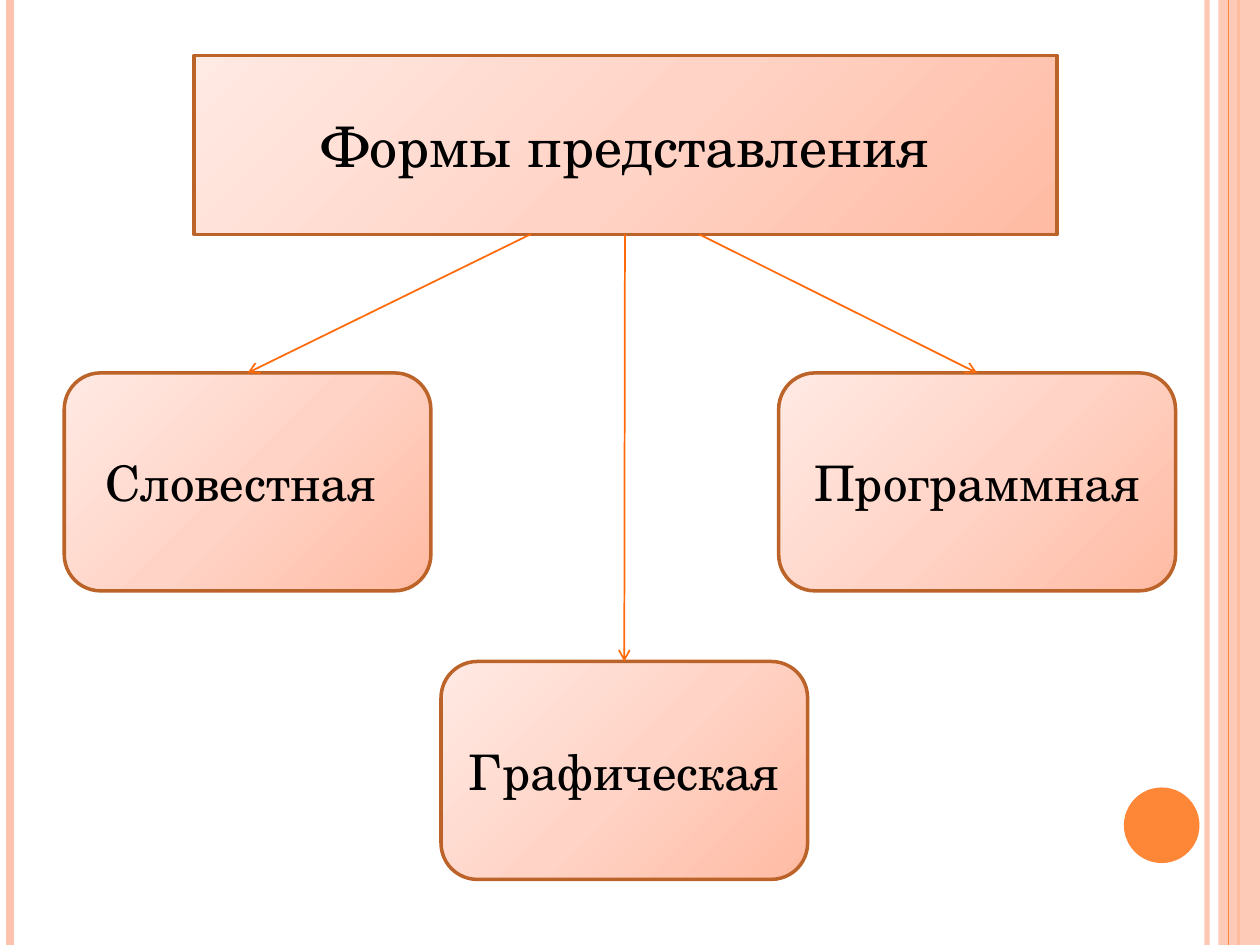
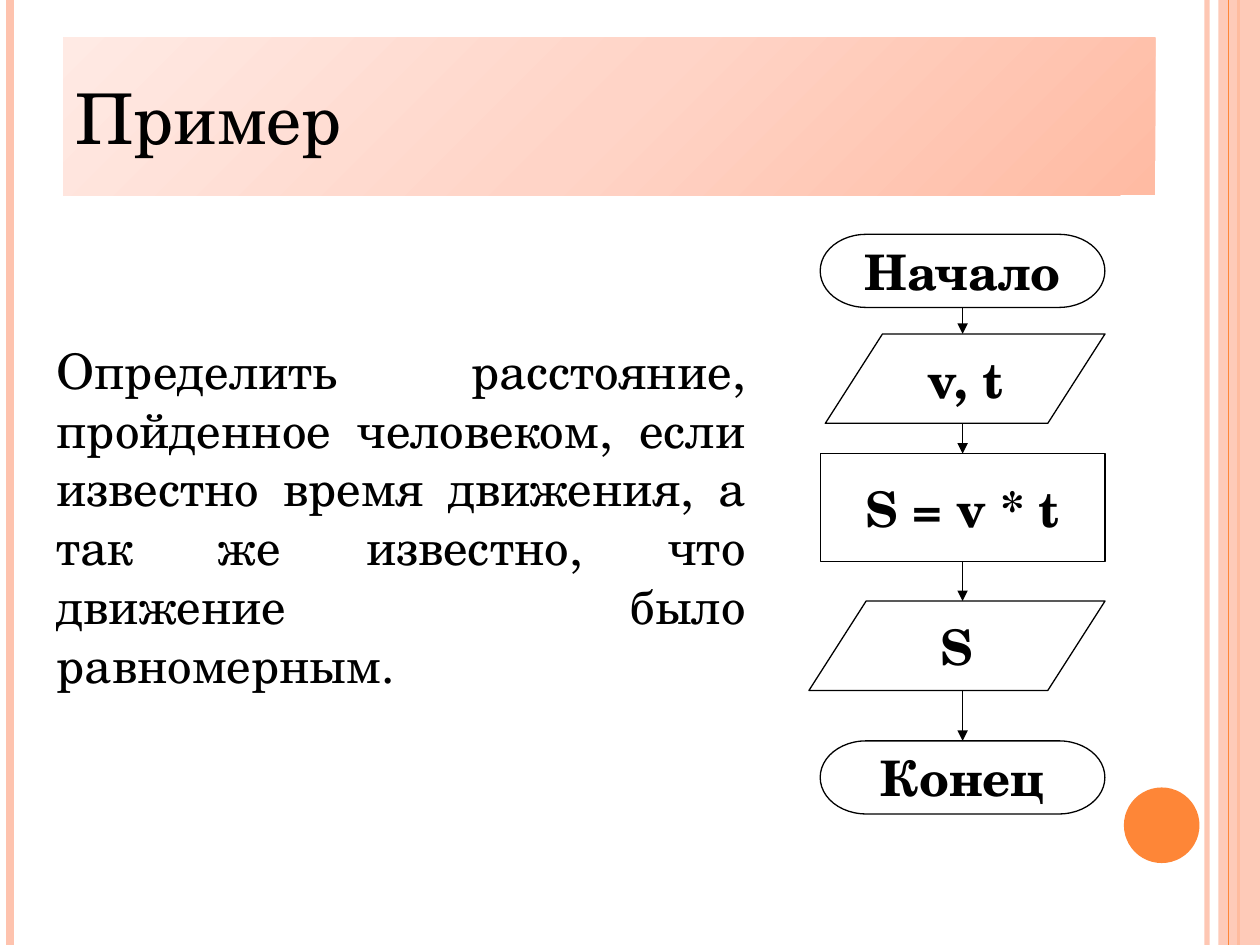
from copy import deepcopy
from itertools import pairwise

from lxml.etree import SubElement
from pptx import Presentation
from pptx.dml.color import RGBColor
from pptx.enum.shapes import MSO_CONNECTOR, MSO_SHAPE
from pptx.enum.text import MSO_ANCHOR, MSO_AUTO_SIZE, PP_ALIGN
from pptx.oxml.ns import qn
from pptx.util import Inches, Pt

WIDTH, HEIGHT = 10, 7.5
FONT = "TeX Gyre Schola"
BLACK, WHITE = "000000", "FFFFFF"
PEACH, ORANGE, ARROW, BORDER = "FEC3AE", "FE8637", "FF6B0A", "BC6329"
GRADIENT = [(0, "FFBBA3"), (50, "FFD4C7"), (100, "FFEAE4")]

# Side stripes: x, colour, line width, opacity in percent
STRIPES_BELOW = [(9.58, PEACH, 3, 93), (0.08, PEACH, 4.5, 100), (9.83, ORANGE, 1.5, 100)]
STRIPES_ABOVE = [(9.75, ORANGE, 0.75, 100)]
BAND = (9.67, 0, 0.33, HEIGHT)
DISC = (8.92, 6.25, 0.6, 0.6)

FORMS_TITLE = "Формы представления"
FORMS_TITLE_BOX = (1.54, 0.44, 6.85, 1.42)
FORM_HEIGHT = 1.73
# Forms: text, left, top, width, x where the arrow leaves the title
FORMS = [
    ("Словестная ", 0.51, 2.96, 2.91, 4.21),
    ("Графическая", 3.5, 5.25, 2.91, 4.96),
    ("Программная", 6.18, 2.96, 3.15, 5.55),
]

EXAMPLE_TITLE = "Пример"
EXAMPLE_TITLE_BOX = (0.5, 0.3, 8.67, 1.25)
TASK = ("Определить расстояние, пройденное человеком, если известно время движения, "
        "а так же известно, что движение было равномерным.")
TASK_BOX = (0.35, 2.65, 5.67, 2.93)
FLOW_RIGHT, FLOW_CENTER = 8.77, 7.64
# Steps: text, shape, top, width, height
STEPS = [
    ("Начало", MSO_SHAPE.FLOWCHART_TERMINATOR, 1.86, 2.26, 0.58),
    ("v, t", MSO_SHAPE.PARALLELOGRAM, 2.65, 2.22, 0.71),
    ("S = v * t", MSO_SHAPE.RECTANGLE, 3.6, 2.26, 0.86),
    ("S", MSO_SHAPE.PARALLELOGRAM, 4.77, 2.35, 0.71),
    ("Конец", MSO_SHAPE.FLOWCHART_TERMINATOR, 5.88, 2.26, 0.58),
]


def color(hex_string):
    return RGBColor.from_string(hex_string)


def set_all(target, **values):
    for name, value in values.items():
        setattr(target, name, value)


def place(shape, box):
    set_all(shape, **dict(zip(("left", "top", "width", "height"), map(Inches, box))))


def set_opacity(element, percent):
    if percent < 100:
        for fill_color in element.iter(qn("a:srgbClr")):
            SubElement(fill_color, qn("a:alpha"), val=str(percent * 1000))


def set_outline(shape, line_color, width):
    shape.line.color.rgb = color(line_color)
    shape.line.width = Pt(width)


def paint_solid(shape, fill_color):
    shape.fill.solid()
    shape.fill.fore_color.rgb = color(fill_color)


def paint_gradient(shape):
    """Fill from dark at the bottom right to light at the top left."""
    shape.fill.gradient()
    shape.fill.gradient_angle = 135
    stop_list = shape.element.spPr.find(qn("a:gradFill")).find(qn("a:gsLst"))
    stop_list.insert(1, deepcopy(stop_list[0]))
    for stop, (position, stop_color) in zip(shape.fill.gradient_stops, GRADIENT):
        set_all(stop, position=position / 100)
        stop.color.rgb = color(stop_color)


def write(shape, text, size, align=PP_ALIGN.CENTER, anchor=MSO_ANCHOR.MIDDLE, bold=False, wrap=True):
    frame = shape.text_frame
    frame.text = text
    set_all(frame, word_wrap=wrap, auto_size=MSO_AUTO_SIZE.NONE, vertical_anchor=anchor)
    paragraph = frame.paragraphs[0]
    set_all(paragraph, alignment=align, space_before=Pt(0))
    set_all(paragraph.font, name=FONT, size=Pt(size), bold=bold)
    paragraph.font.color.rgb = color(BLACK)


def add_shape(slide, kind, box):
    shape = slide.shapes.add_shape(kind, *map(Inches, box))
    shape.shadow.inherit = False
    return shape


def add_line(slide, start, end, line_color, width, head=None):
    line = slide.shapes.add_connector(MSO_CONNECTOR.STRAIGHT, *map(Inches, (*start, *end)))
    set_outline(line, line_color, width)
    properties = line.element.spPr
    if head:
        SubElement(properties.find(qn("a:ln")), qn("a:tailEnd"), type=head)
    SubElement(properties, qn("a:effectLst"))
    return line


def add_stripes(slide, stripes):
    for x, stripe_color, width, opacity in stripes:
        stripe = add_line(slide, (x, 0), (x, HEIGHT), stripe_color, width)
        set_opacity(stripe.element, opacity)


def decorate_master(presentation, slide):
    """Draw the side bands on a slide, then move them to the slide master."""
    present = set(slide.shapes.element)
    add_stripes(slide, STRIPES_BELOW)
    for kind, box, fill_color, opacity in (
        (MSO_SHAPE.RECTANGLE, BAND, PEACH, 87),
        (MSO_SHAPE.OVAL, DISC, ORANGE, 100),
    ):
        shape = add_shape(slide, kind, box)
        paint_solid(shape, fill_color)
        set_opacity(shape.element, opacity)
        shape.line.fill.background()
    add_stripes(slide, STRIPES_ABOVE)
    decorations = [element for element in slide.shapes.element if element not in present]
    for number, element in enumerate(decorations, start=100):
        next(element.iter(qn("p:cNvPr"))).set("id", str(number))
        presentation.slide_master.shapes.element.append(element)


def style_title(slide, text, box, size, align, geometry="rect"):
    title = slide.shapes.title
    place(title, box)
    outline = SubElement(title.element.spPr, qn("a:prstGeom"), prst=geometry)
    SubElement(outline, qn("a:avLst"))
    paint_gradient(title)
    write(title, text, size, align)
    return title


def build_forms(slide):
    title = style_title(slide, FORMS_TITLE, FORMS_TITLE_BOX, 32, PP_ALIGN.CENTER, "roundRect")
    set_outline(title, BORDER, 2)
    title_bottom = FORMS_TITLE_BOX[1] + FORMS_TITLE_BOX[3]
    for text, left, top, width, arrow_x in FORMS:
        form = add_shape(slide, MSO_SHAPE.ROUNDED_RECTANGLE, (left, top, width, FORM_HEIGHT))
        paint_gradient(form)
        set_outline(form, BORDER, 2)
        write(form, text, 28)
        add_line(slide, (arrow_x, title_bottom), (left + width / 2, top), ARROW, 1, "arrow")


def build_example(slide):
    style_title(slide, EXAMPLE_TITLE, EXAMPLE_TITLE_BOX, 40, PP_ALIGN.LEFT)
    task = slide.placeholders[1]
    place(task, TASK_BOX)
    write(task, TASK, 28, PP_ALIGN.JUSTIFY, MSO_ANCHOR.TOP)
    properties = task.text_frame.paragraphs[0]._p.get_or_add_pPr()
    properties.set("marL", "0")
    properties.set("indent", "0")
    properties.find(qn("a:spcBef")).addnext(properties.makeelement(qn("a:buNone")))

    for text, kind, top, width, height in STEPS:
        step = add_shape(slide, kind, (FLOW_RIGHT - width, top, width, height))
        slanted = kind == MSO_SHAPE.PARALLELOGRAM
        if slanted:
            step.adjustments[0] = 0.64
        paint_solid(step, WHITE)
        set_outline(step, BLACK, 0.75)
        write(step, text, 28, bold=True, wrap=not slanted)
    for (_, _, top, _, height), (_, _, next_top, _, _) in pairwise(STEPS):
        add_line(slide, (FLOW_CENTER, top + height), (FLOW_CENTER, next_top), BLACK, 0.75, "triangle")


def main():
    presentation = Presentation()
    set_all(presentation, slide_width=Inches(WIDTH), slide_height=Inches(HEIGHT))
    title_and_content, title_only = (presentation.slide_layouts[index] for index in (1, 5))
    forms_slide = presentation.slides.add_slide(title_only)
    decorate_master(presentation, forms_slide)
    build_forms(forms_slide)
    build_example(presentation.slides.add_slide(title_and_content))
    presentation.save("out.pptx")


if __name__ == "__main__":
    main()
